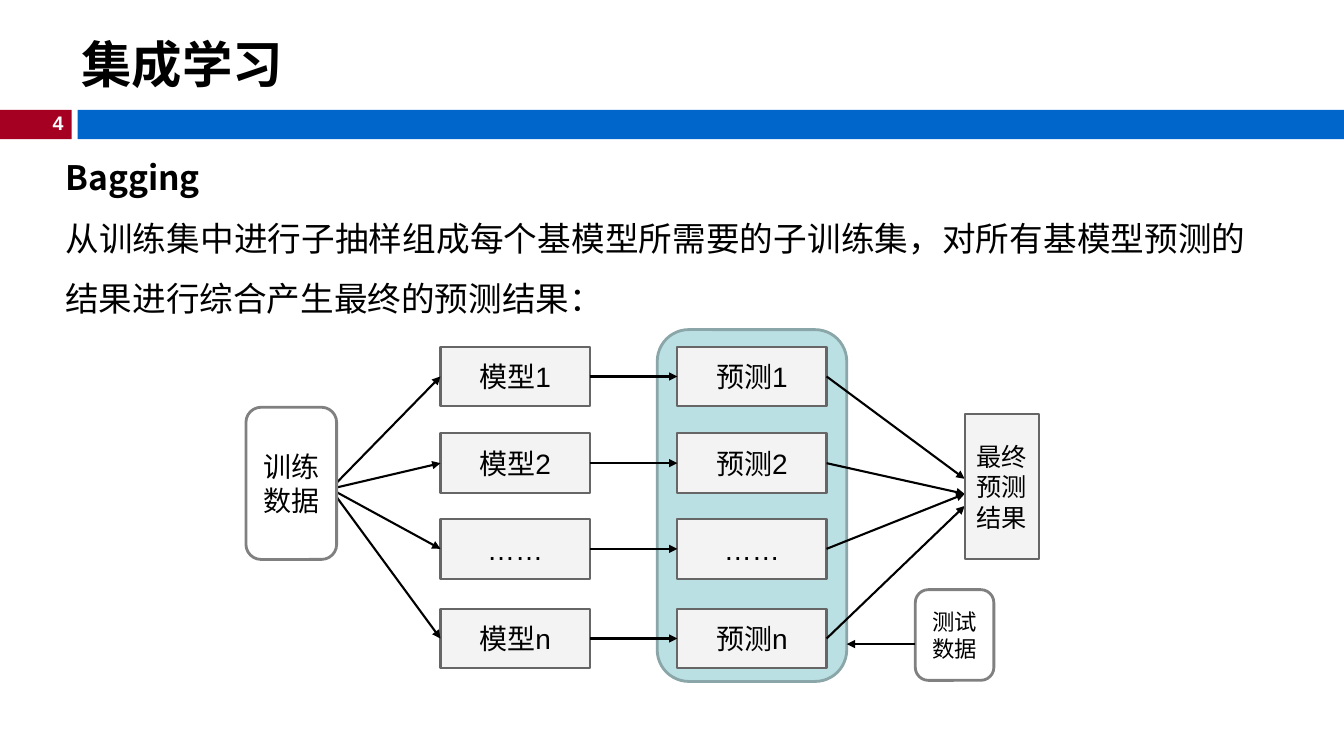
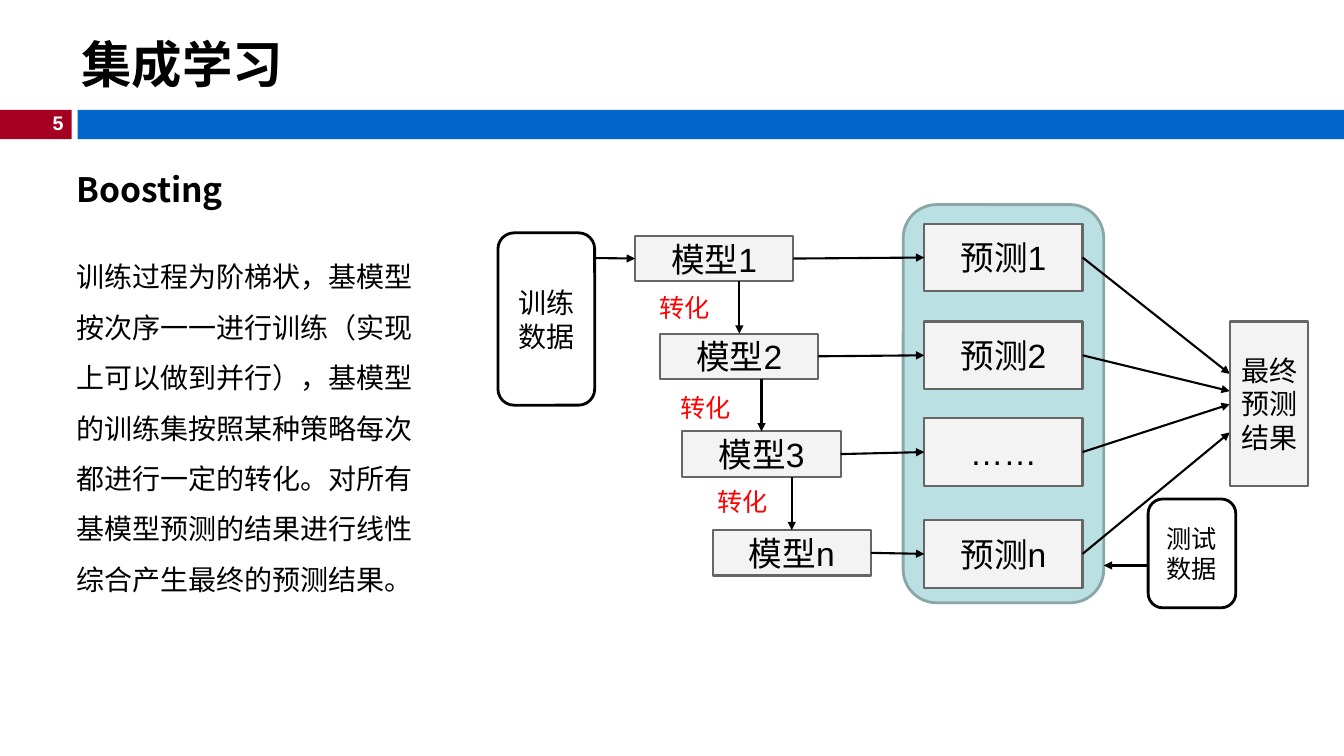
from dataclasses import dataclass
from typing import NamedTuple

from lxml import etree
from pptx import Presentation, util as u
from pptx.dml.color import RGBColor
from pptx.enum import shapes, text
from pptx.oxml import ns

COLS, ROWS = 133.33, 75
CELL = u.Inches(0.1)

BLACK = RGBColor(0, 0, 0)
WHITE = RGBColor(255, 255, 255)
RED = RGBColor(255, 0, 0)
CRIMSON = RGBColor(0xA5, 0, 0x21)
BLUE = RGBColor(0, 0x66, 0xCC)
GREY = RGBColor(0x80, 0x80, 0x80)
DARK_GREY = RGBColor(0x66, 0x66, 0x66)
PALE_GREY = RGBColor(0xF3, 0xF3, 0xF3)
TEAL = RGBColor(0xBB, 0xE0, 0xE3)
DARK_TEAL = RGBColor(0x8A, 0xA6, 0xA8)

LATIN, CJK = "Arial", "Noto Sans CJK SC"
RECT = shapes.MSO_SHAPE.RECTANGLE
ROUND = shapes.MSO_SHAPE.ROUNDED_RECTANGLE
ALIGN, ANCHOR, FIT = text.PP_ALIGN, text.MSO_ANCHOR, text.MSO_AUTO_SIZE
TOP, LEFT, RIGHT = 0, 1, 3

TITLE = "集成学习"
PREDICTIONS = ("预测1", "预测2", "……", "预测n")


class Box(NamedTuple):
    """A place on the grid, in columns and rows."""
    x: float
    y: float
    w: float
    h: float

    @property
    def right(self) -> float:
        return self.x + self.w


class Point(NamedTuple):
    x: float
    y: float


class Joint(NamedTuple):
    """The middle of one side of a shape."""
    shape: object
    side: int


@dataclass(frozen=True)
class Look:
    preset: int
    fill: RGBColor
    line: RGBColor | None = None
    width: float = 0
    font: str = LATIN
    inset: float | None = None


@dataclass(frozen=True)
class Para:
    text: str
    size: float
    font: str = CJK
    color: RGBColor = BLACK
    bold: bool = False
    align: int | None = None
    spacing: float | None = None
    after: float | None = None


NUMBER_BAND = Look(RECT, CRIMSON)
TITLE_BAND = Look(RECT, BLUE)
STEP = Look(RECT, PALE_GREY, DARK_GREY, 1.5, inset=1)
PANEL = Look(ROUND, TEAL, DARK_TEAL, 2)
GREY_DATA = Look(ROUND, WHITE, GREY, 2, CJK)
BLACK_DATA = Look(ROUND, WHITE, BLACK, 2, CJK)


def cells(*values: float) -> list[int]:
    return [round(v * CELL) for v in values]


def set_all(target: object, values: dict) -> None:
    for name, value in values.items():
        if value is not None:
            setattr(target, name, value)


def write(tf, paras: list[Para]) -> None:
    for i, para in enumerate(paras):
        p = tf.paragraphs[0] if i == 0 else tf.add_paragraph()
        set_all(p, {"alignment": para.align, "line_spacing": para.spacing,
                    "space_after": None if para.after is None else u.Pt(para.after)})
        r = p.add_run()
        r.text = para.text
        set_all(r.font, {"size": u.Pt(para.size), "bold": para.bold, "name": para.font})
        r.font.color.rgb = para.color
        ea = etree.SubElement(r.font._element, ns.qn("a:ea"))
        ea.set("typeface", CJK)


def add_text(s, box: Box, paras: list[Para], **frame):
    sp = s.shapes.add_textbox(*cells(*box))
    set_all(sp.text_frame, {"word_wrap": True} | frame)
    write(sp.text_frame, paras)


def add_box(s, box: Box, look: Look, label: str = "", size: float = 0):
    sp = s.shapes.add_shape(look.preset, *cells(*box))
    sp.shadow.inherit = False
    sp.fill.solid()
    sp.fill.fore_color.rgb = look.fill
    if look.line is None:
        sp.line.fill.background()
    else:
        sp.line.color.rgb = look.line
        sp.line.width = u.Pt(look.width)
    if label:
        tf = sp.text_frame
        set_all(tf, {"word_wrap": True, "vertical_anchor": ANCHOR.MIDDLE})
        if look.inset is not None:
            sides = ("left", "right", "top", "bottom")
            set_all(tf, {f"margin_{side}": cells(look.inset)[0] for side in sides})
        write(tf, [Para(label, size, look.font, align=ALIGN.CENTER)])
    return sp


def add_arrow(s, start: Point | Joint, end: Point | Joint) -> None:
    """Draw an arrow between free points or the sides of shapes."""
    ends = [cells(*e) if isinstance(e, Point) else [0, 0] for e in (start, end)]
    line = s.shapes.add_connector(shapes.MSO_CONNECTOR.STRAIGHT, *ends[0], *ends[1])
    for e, connect in ((start, line.begin_connect), (end, line.end_connect)):
        if isinstance(e, Joint):
            connect(e.shape, e.side)
    line.line.color.rgb = BLACK
    line.line.width = u.Pt(1.5)
    etree.SubElement(line.line._get_or_add_ln(), ns.qn("a:tailEnd")).set("type", "triangle")
    etree.SubElement(line._element.spPr, ns.qn("a:effectLst"))


def add_column(s, boxes: list[Box], labels: tuple[str, ...], size: float) -> list:
    return [add_box(s, box, STEP, label, size) for box, label in zip(boxes, labels)]


def add_outcome(s, models: list, predictions: list, result: Box, size: float,
                arrivals: tuple[float, ...]) -> None:
    """Link models to predictions, and predictions to the final result."""
    for model, prediction in zip(models, predictions):
        add_arrow(s, Joint(model, RIGHT), Joint(prediction, LEFT))
    for prediction, y in zip(predictions, arrivals):
        add_arrow(s, Joint(prediction, RIGHT), Point(result.x, y))
    add_box(s, result, STEP, "最终预测结果", size)


def add_test_data(s, box: Box, look: Look, size: float, panel: Box, y: float) -> None:
    add_box(s, box, look, "测试数据", size)
    add_arrow(s, Point(box.x, y), Point(panel.right, y))


def new_slide(prs, number: int):
    s = prs.slides.add_slide(prs.slide_layouts[6])
    add_box(s, Box(0, 10.9, 7.1, 2.9), NUMBER_BAND)
    add_box(s, Box(7.7, 10.9, COLS - 7.7, 2.9), TITLE_BAND)
    add_text(s, Box(2.9, 10.5, 4.4, 3.4),
             [Para(str(number), 14, LATIN, WHITE, True, ALIGN.RIGHT)],
             word_wrap=False, auto_size=FIT.SHAPE_TO_FIT_TEXT)
    add_text(s, Box(7.1, 2.7, 73.6, 7.2), [Para(TITLE, 36, LATIN, bold=True)],
             vertical_anchor=ANCHOR.MIDDLE)
    return s


def bagging_slide(prs) -> None:
    s = new_slide(prs, 4)
    add_text(s, Box(5.5, 13.1, 119.1, 18.5), [
        Para("Bagging", 24, bold=True, align=ALIGN.JUSTIFY, spacing=1.5),
        Para("从训练集中进行子抽样组成每个基模型所需要的子训练集，"
             "对所有基模型预测的结果进行综合产生最终的预测结果：",
             24, align=ALIGN.JUSTIFY, spacing=1.5),
    ], auto_size=FIT.SHAPE_TO_FIT_TEXT)

    panel = Box(65.2, 32.7, 18.8, 34.9)
    add_box(s, panel, PANEL)
    tops = (34.4, 43, 51.5, 60.4)
    models, predictions = (
        add_column(s, [Box(x, y, 14.8, 5.9) for y in tops], labels, 20)
        for x, labels in ((43.7, ("模型1", "模型2", "……", "模型n")), (67.2, PREDICTIONS)))
    for model in models:
        add_arrow(s, Point(32.8, 48.5), Joint(model, LEFT))
    add_box(s, Box(24.4, 40.4, 9, 15.1), GREY_DATA, "训练数据", 20)
    add_outcome(s, models, predictions, Box(95.7, 41.1, 7.4, 14.4), 18,
                (47.5, 49, 49, 50.2))
    add_test_data(s, Box(90.8, 58.5, 7.8, 9), GREY_DATA, 16, panel, 63.9)


def boosting_slide(prs) -> None:
    s = new_slide(prs, 5)
    add_text(s, Box(6.6, 16.3, 35.6, 47.8), [
        Para("Boosting", 24, bold=True, after=24),
        Para("训练过程为阶梯状，基模型按次序一一进行训练（实现上可以做到并行），"
             "基模型的训练集按照某种策略每次都进行一定的转化。"
             "对所有基模型预测的结果进行线性综合产生最终的预测结果。", 20, spacing=1.5),
    ], auto_size=FIT.SHAPE_TO_FIT_TEXT)

    panel = Box(89.6, 20.3, 19.9, 39.5)
    add_box(s, panel, PANEL)
    stairs = [Box(x, y, 15.7, 4.5)
              for x, y in ((63, 23.4), (65.5, 33.1), (67.7, 42.8), (70.7, 52.6))]
    models = add_column(s, stairs, ("模型1", "模型2", "模型3", "模型n"), 24)
    predictions = add_column(s, [Box(91.7, y, 15.7, 6.7) for y in (22.2, 31.9, 41.5, 51.6)],
                             PREDICTIONS, 24)
    notes = (Point(64.4, 28.5), Point(66.5, 38.4), Point(70.2, 47.8))
    for upper, lower, model, note in zip(stairs, stairs[1:], models[1:], notes):
        add_arrow(s, Point(lower.x + lower.w / 2, upper.y + upper.h), Joint(model, TOP))
        add_text(s, Box(*note, 7.8, 3.8), [Para("转化", 18, color=RED)],
                 auto_size=FIT.SHAPE_TO_FIT_TEXT)

    training = Box(49.4, 23.1, 9.6, 17.1)
    add_box(s, training, BLACK_DATA, "训练数据", 20)
    add_arrow(s, Point(training.right, 25.6), Joint(models[0], LEFT))
    add_outcome(s, models, predictions, Box(122, 31.9, 7.8, 16.3), 20,
                (37.1, 38.8, 40.1, 42.9))
    add_test_data(s, Box(113.9, 49.5, 8.7, 10.8), BLACK_DATA, 18, panel, 56.1)


def main() -> None:
    prs = Presentation()
    prs.slide_width, prs.slide_height = cells(COLS, ROWS)
    bagging_slide(prs)
    boosting_slide(prs)
    prs.save("out.pptx")


if __name__ == "__main__":
    main()
